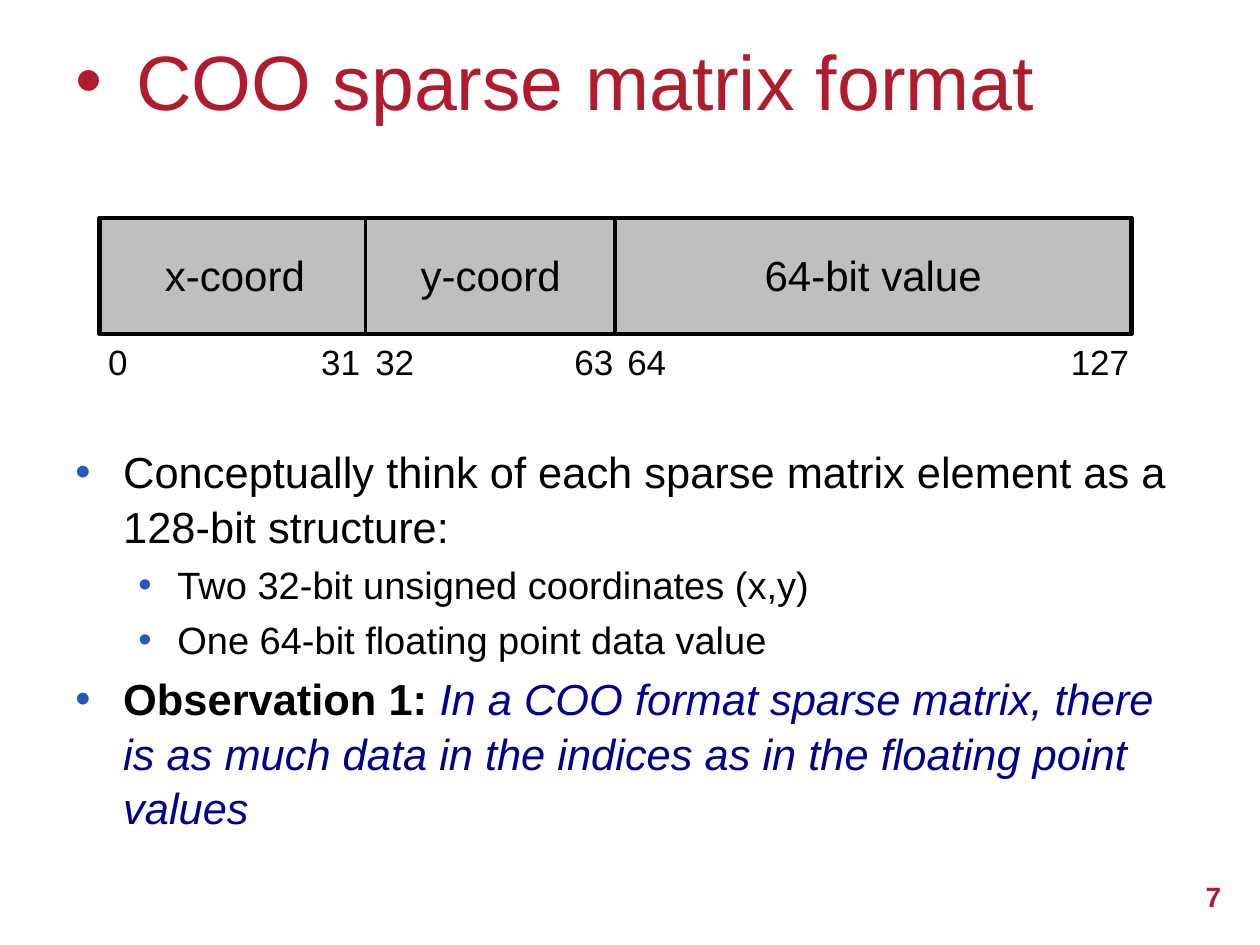
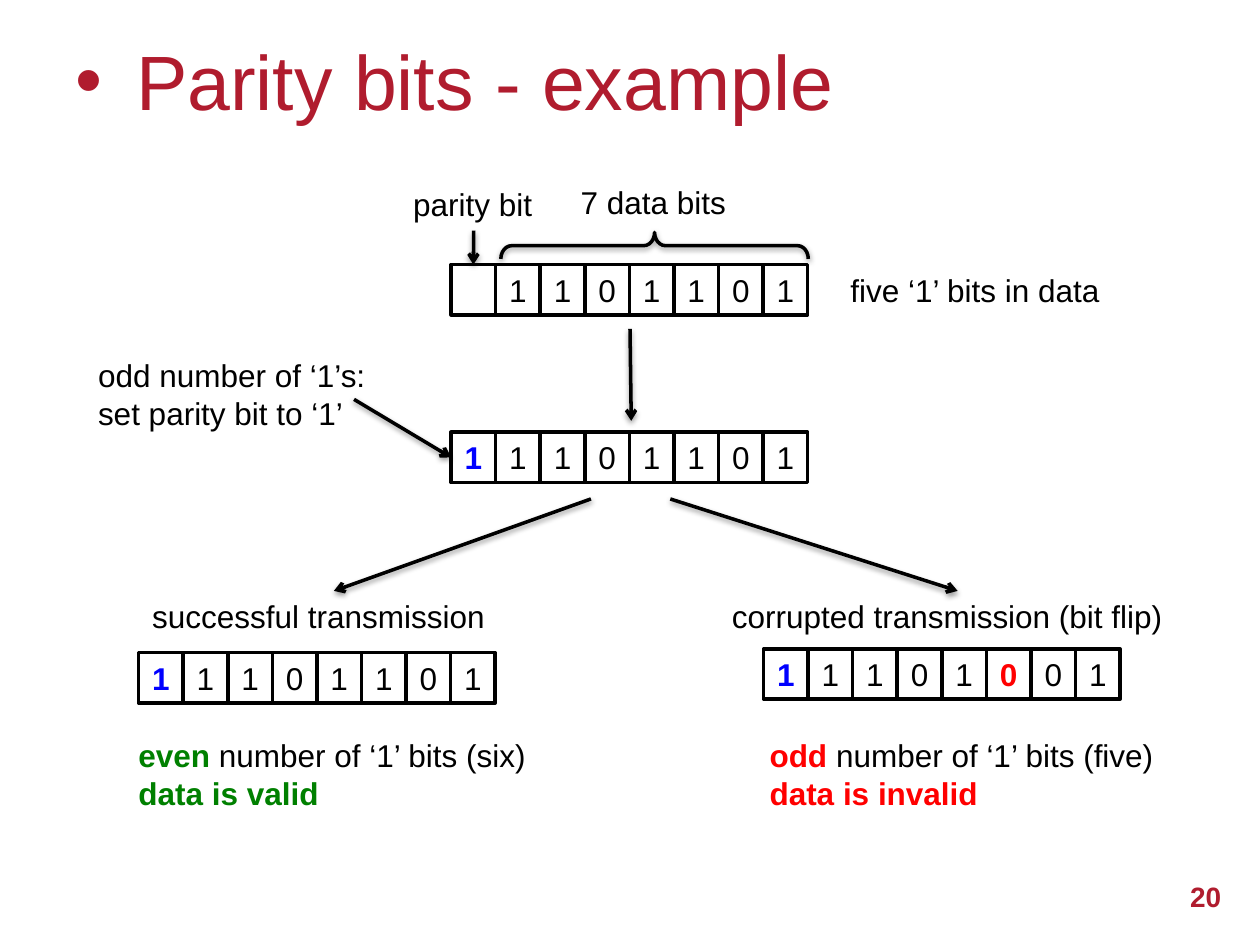
from lxml import etree
from pptx import Presentation
from pptx.dml.color import RGBColor
from pptx.enum import shapes, text
from pptx.oxml import ns
from pptx.util import Inches, Pt

COLORS = {"title": "B01C2E", "ink": "000000", "paper": "FFFFFF", "field": "BFBFBF",
          "bullet": "2858BB", "observation": "000090", "parity": "0000FF",
          "valid": "008000", "invalid": "FF0000"}
RGB = {name: RGBColor.from_string(value) for name, value in COLORS.items()}
LEFT, CENTER, RIGHT = text.PP_ALIGN.LEFT, text.PP_ALIGN.CENTER, text.PP_ALIGN.RIGHT
MIDDLE = text.MSO_ANCHOR.MIDDLE
FIT = text.MSO_AUTO_SIZE.SHAPE_TO_FIT_TEXT
DRAWING = ns.nsdecls("a")
SHADOW = (f'<a:effectLst {DRAWING}><a:outerShdw blurRad="40000" dist="20000" dir="5400000" '
          f'rotWithShape="0"><a:srgbClr val="{COLORS["ink"]}"><a:alpha val="38000"/></a:srgbClr>'
          '</a:outerShdw></a:effectLst>')


def write(shape, paragraphs, size, color="ink", align=LEFT, **frame_format):
    frame = shape.text_frame
    for key, value in ({"word_wrap": True} | frame_format).items():
        setattr(frame, key, value)
    for index, runs in enumerate(paragraphs):
        paragraph = frame.add_paragraph() if index else frame.paragraphs[0]
        paragraph.alignment = align
        for words, extra in runs:
            run = paragraph.add_run()
            run.text = words
            look = {"name": "Arial", "size": Pt(size), "color": color} | extra
            run.font.color.rgb = RGB[look.pop("color")]
            for key, value in look.items():
                setattr(run.font, key, value)
    return frame


def draw_line(slide, start, end, arrow=False):
    line = slide.shapes.add_connector(shapes.MSO_CONNECTOR.STRAIGHT,
                                      *[Inches(value) for value in (*start, *end)])
    line.line.width = Pt(2)
    line.line.color.rgb = RGB["ink"]
    properties = line._element.spPr
    if arrow:
        tail = etree.SubElement(properties.find(ns.qn("a:ln")), ns.qn("a:tailEnd"))
        tail.set("type", "arrow")
    properties.append(etree.fromstring(SHADOW if arrow else f"<a:effectLst {DRAWING}/>"))
    return line


deck = Presentation()
deck.slide_width, deck.slide_height = Inches(10), Inches(7.5)
pages = []
for heading, number in (("COO sparse matrix format", "7"), ("Parity bits - example", "20")):
    page = deck.slides.add_slide(deck.slide_layouts[5])
    title = page.shapes.title
    for key, value in {"left": 0.5, "top": 0.01, "width": 9, "height": 1.25}.items():
        setattr(title, key, Inches(value))
    frame = write(title, [[(heading, {})]], 44, "title", vertical_anchor=MIDDLE,
                  auto_size=text.MSO_AUTO_SIZE.NONE)
    layout = frame.paragraphs[0]._p.get_or_add_pPr()
    layout.set("marL", str(Inches(0.48)))
    layout.set("indent", str(-Inches(0.48)))
    etree.SubElement(layout, ns.qn("a:buFont")).set("typeface", "Arial")
    etree.SubElement(layout, ns.qn("a:buChar")).set("char", "•")
    page_number = page.shapes.add_textbox(Inches(9.02), Inches(6.85), Inches(0.77), Inches(0.52))
    write(page_number, [[(number, {"bold": True})]], 16, "title", RIGHT, vertical_anchor=MIDDLE)
    pages.append(page)
coo, parity = pages

points = [
    (0, [("Conceptually think of each sparse matrix element as a 128-bit structure:", {})]),
    (1, [("Two 32-bit unsigned coordinates (x,y)", {})]),
    (1, [("One 64-bit floating point data value", {})]),
    (0, [("Observation 1: ", {"bold": True}),
         ("In a COO format sparse matrix, there is as much data in the indices as in the "
          "floating point values", {"italic": True, "color": "observation"})]),
]
LEVELS = [(24.8, 0.38, 0.38), (21.7, 0.81, 0.31)]
explanation = coo.shapes.add_textbox(Inches(0.5), Inches(3.47), Inches(9), Inches(3.21))
frame = write(explanation, [[(words, {"size": Pt(LEVELS[level][0])} | extra)
                             for words, extra in runs] for level, runs in points], 24.8)
for index, (paragraph, (level, runs)) in enumerate(zip(frame.paragraphs, points)):
    size, margin, hang = LEVELS[level]
    paragraph.level = level
    paragraph.line_spacing = 1.04
    paragraph.space_before = Pt(size * 0.2 if index else 0)
    layout = paragraph._p.get_or_add_pPr()
    layout.set("marL", str(Inches(margin)))
    layout.set("indent", str(-Inches(hang)))
    bullet_color = etree.SubElement(layout, ns.qn("a:buClr"))
    etree.SubElement(bullet_color, ns.qn("a:srgbClr")).set("val", COLORS["bullet"])
    etree.SubElement(layout, ns.qn("a:buFont")).set("typeface", "Arial")
    etree.SubElement(layout, ns.qn("a:buChar")).set("char", "•")

record = coo.shapes.add_shape(shapes.MSO_SHAPE.RECTANGLE, Inches(0.79), Inches(1.73),
                              Inches(8.19), Inches(0.92))
record.shadow.inherit = False
record.fill.solid()
record.fill.fore_color.rgb = RGB["field"]
record.line.color.rgb = RGB["ink"]
record.line.width = Pt(2.5)
for divider in (2.9, 4.88):
    draw_line(coo, (divider, 1.73), (divider, 2.65))
record_labels = [(1.93, 0.5, 24, [("x-coord", 1.21, 1.32), ("y-coord", 3.24, 1.32),
                                  ("64-bit value", 5.97, 1.94)]),
                 (2.65, 0.44, 20, [("0", 0.76, 0.36), ("31", 2.45, 0.51), ("32", 2.88, 0.51),
                                   ("63", 4.46, 0.51), ("64", 4.88, 0.51), ("127", 8.4, 0.67)])]
for top, height, size, labels in record_labels:
    for words, left, width in labels:
        label = coo.shapes.add_textbox(Inches(left), Inches(top), Inches(width), Inches(height))
        write(label, [[(words, {})]], size, word_wrap=False, auto_size=FIT)

PITCH = 2.83 / 8
bytes_shown = [(3.58, 2.1, " 1101101", {}),
               (3.58, 3.43, "11101101", {0: "parity"}),
               (1.1, 5.18, "11101101", {0: "parity"}),
               (6.06, 5.15, "11101001", {0: "parity", 5: "invalid"})]
parity_cells = []
for left, top, bits, marked in bytes_shown:
    byte = parity.shapes.add_group_shape()
    for place, bit in enumerate(bits):
        cell = byte.shapes.add_shape(shapes.MSO_SHAPE.RECTANGLE, Inches(left + place * PITCH),
                                     Inches(top), Inches(PITCH), Inches(0.4))
        cell.shadow.inherit = False
        cell.fill.solid()
        cell.fill.fore_color.rgb = RGB["paper"]
        cell.line.color.rgb = RGB["ink"]
        cell.line.width = Pt(2)
        if bit.strip():
            write(cell, [[(bit, {"bold": place in marked})]], 18, marked.get(place, "ink"),
                  CENTER, auto_size=FIT)
        if place == 0:
            parity_cells.append(cell)

brace = parity.shapes.add_shape(shapes.MSO_SHAPE.LEFT_BRACE, Inches(5.09), Inches(0.73),
                                Inches(0.21), Inches(2.44))
brace.rotation = 90
brace.adjustments[0] = 0.408
brace.fill.background()
brace.line.color.rgb = RGB["ink"]
brace.line.width = Pt(2)
brace._element.spPr.append(etree.fromstring(SHADOW))

draw_line(parity, (3.76, 1.83), (3.76, 2.1), True).end_connect(parity_cells[0], 0)
draw_line(parity, (2.81, 3.17), (3.58, 3.63), True).end_connect(parity_cells[1], 1)
for start, end in (((5, 2.61), (5.01, 3.34)), ((4.69, 3.96), (2.65, 4.69)),
                   ((5.32, 3.96), (7.6, 4.69))):
    draw_line(parity, start, end, True)

valid = {"bold": True, "color": "valid"}
invalid = {"bold": True, "color": "invalid"}
captions = [
    (4.51, 1.4, 1.36, [[("7 data bits", {})]]),
    (3.18, 1.42, 1.15, [[("parity bit", {})]]),
    (6.65, 2.1, 2.28, [[("five ‘1’ bits in data", {})]]),
    (0.68, 2.78, 2.67, [[("odd number of ‘1’s:", {})], [("set parity bit to ‘1’", {})]]),
    (5.71, 4.69, 3.79, [[("corrupted transmission (bit flip)", {})]]),
    (1.11, 4.69, 3.07, [[("successful transmission", {})]]),
    (1, 5.79, 3.32, [[("even", valid), (" number of ‘1’ bits (six)", {})],
                     [("data is valid", valid)]]),
    (6.01, 5.79, 3.26, [[("odd", invalid), (" number of ‘1’ bits (five)", {})],
                        [("data is invalid", invalid)]]),
]
for left, top, width, lines in captions:
    caption = parity.shapes.add_textbox(Inches(left), Inches(top), Inches(width),
                                        Inches(0.1 + 0.3 * len(lines)))
    write(caption, lines, 18, auto_size=FIT)

deck.save("out.pptx")
